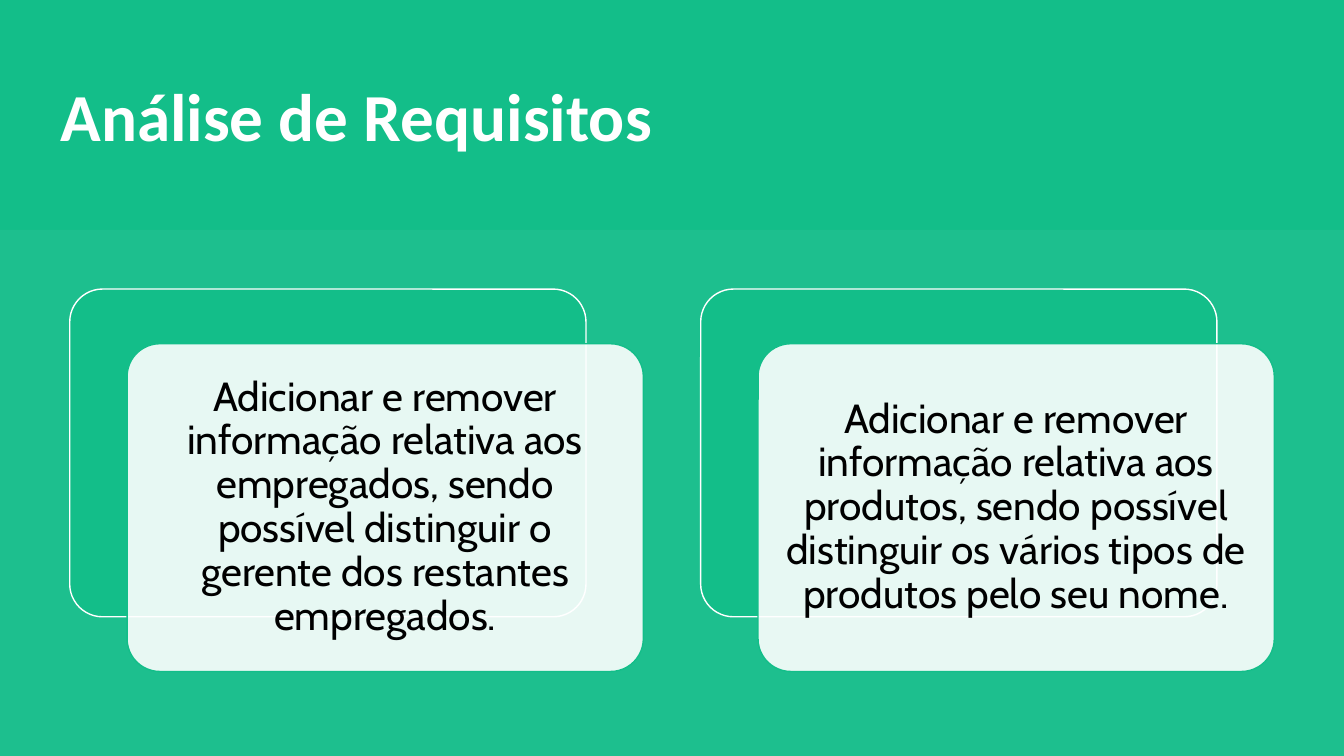
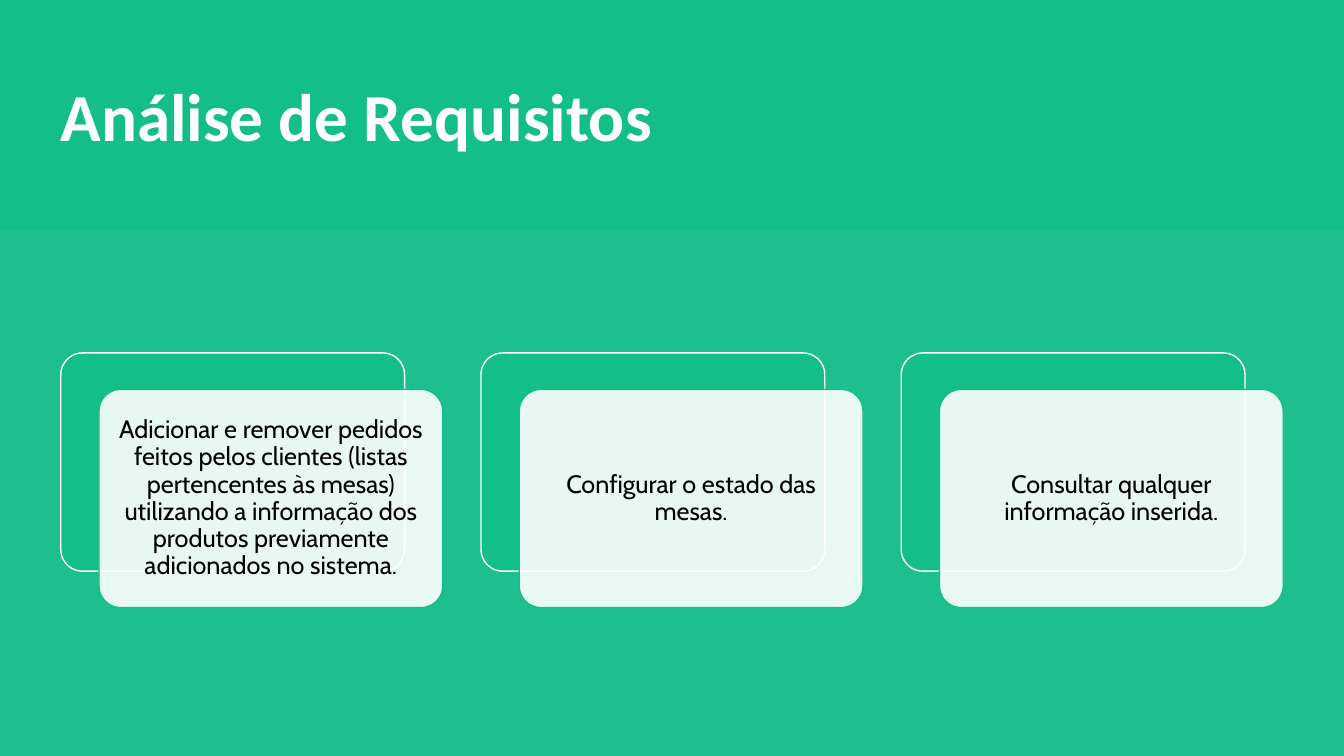
from lxml.etree import SubElement
from pptx import Presentation
from pptx.dml.color import RGBColor
from pptx.enum.shapes import MSO_SHAPE
from pptx.enum.text import MSO_ANCHOR, MSO_AUTO_SIZE, PP_ALIGN
from pptx.oxml.ns import qn
from pptx.util import Inches, Pt

COLORS = {
    "green": "13BE89",
    "white": "FFFFFF",
    "black": "000000",
    "veil": "E4E3F0",
}
SLIDE_WIDTH, SLIDE_HEIGHT = 13.33, 7.5
PANEL_TOP = 2.28
ROW_CENTER = 4.765
CARD_RATIO = 0.635
STEP_ACROSS = 1 / 9
STEP_DOWN = 0.106
CORNER = 0.1
TITLE = "Análise de Requisitos"

STAFF_AND_PRODUCTS = [
    "Adicionar e remover informação relativa aos empregados, sendo possível "
    "distinguir o gerente dos restantes empregados.",
    "Adicionar e remover informação relativa aos produtos, sendo possível "
    "distinguir os vários tipos de produtos pelo seu nome.",
]
ORDERS_AND_TABLES = [
    "Adicionar e remover pedidos feitos pelos clientes (listas pertencentes "
    "às mesas) utilizando a informação dos produtos previamente adicionados "
    "no sistema.",
    "Configurar o estado das mesas.",
    "Consultar qualquer informação inserida.",
]


def color(name):
    return RGBColor.from_string(COLORS[name])


def set_fill(shape, name, opacity=100):
    shape.fill.solid()
    shape.fill.fore_color.rgb = color(name)
    if opacity < 100:
        fill_color = shape._element.spPr.find(qn("a:solidFill"))[0]
        SubElement(fill_color, qn("a:alpha"), val=str(opacity * 1000))


def set_insets(text_frame, inset):
    text_frame.margin_left = text_frame.margin_right = Inches(inset)
    text_frame.margin_top = text_frame.margin_bottom = Inches(inset)


def add_run(paragraph, text, font_name, size, color_name, bold=False):
    run = paragraph.add_run()
    run.text = text
    run.font.name = font_name
    run.font.size = Pt(size)
    run.font.bold = bold
    run.font.color.rgb = color(color_name)


def add_box(slide, kind, left, top, width, height, fill, line=None, opacity=100):
    shape = slide.shapes.add_shape(
        kind, Inches(left), Inches(top), Inches(width), Inches(height)
    )
    shape.shadow.inherit = False
    set_fill(shape, fill, opacity)
    if line:
        shape.line.color.rgb = color(line)
        shape.line.width = Pt(1)
    else:
        shape.line.fill.background()
    return shape


def add_titled_slide(presentation, layout):
    slide = presentation.slides.add_slide(layout)
    title = slide.shapes.title
    title.left, title.top = Inches(0.6), Inches(0.6)
    title.width, title.height = Inches(SLIDE_WIDTH * 0.6), Inches(1.08)
    text_frame = title.text_frame
    text_frame.word_wrap = True
    text_frame.auto_size = MSO_AUTO_SIZE.NONE
    text_frame.vertical_anchor = MSO_ANCHOR.MIDDLE
    set_insets(text_frame, 0)
    paragraph = text_frame.paragraphs[0]
    paragraph.alignment = PP_ALIGN.LEFT
    add_run(paragraph, TITLE, "Calibri", 48, "white", bold=True)
    add_box(slide, MSO_SHAPE.RECTANGLE, 0, PANEL_TOP, SLIDE_WIDTH,
            SLIDE_HEIGHT - PANEL_TOP, "veil", opacity=5)
    return slide


def add_card(slide, text, left, top, width, size, space_after):
    height = width * CARD_RATIO
    back = add_box(slide, MSO_SHAPE.ROUNDED_RECTANGLE, left, top, width, height,
                   "green", "white")
    front = add_box(slide, MSO_SHAPE.ROUNDED_RECTANGLE,
                    left + width * STEP_ACROSS, top + width * STEP_DOWN,
                    width, height, "white", "green", opacity=90)
    for shape in (back, front):
        shape.adjustments[0] = CORNER
    text_frame = front.text_frame
    text_frame.word_wrap = True
    text_frame.vertical_anchor = MSO_ANCHOR.MIDDLE
    set_insets(text_frame, width * 0.024)
    paragraph = text_frame.paragraphs[0]
    paragraph.alignment = PP_ALIGN.CENTER
    paragraph.line_spacing = 0.9
    paragraph.space_after = Pt(space_after)
    add_run(paragraph, text, "Cabin", size, "black")


def add_card_row(slide, texts, width, size, space_after):
    gap = width * STEP_ACROSS
    pitch = width + 2 * gap
    left = (SLIDE_WIDTH - len(texts) * pitch + gap) / 2
    top = ROW_CENTER - width * (CARD_RATIO + STEP_DOWN) / 2
    for column, text in enumerate(texts):
        add_card(slide, text, left + column * pitch, top, width, size, space_after)


def main():
    presentation = Presentation()
    presentation.slide_width = Inches(SLIDE_WIDTH)
    presentation.slide_height = Inches(SLIDE_HEIGHT)
    layout = presentation.slide_layouts.get_by_name("Title Only")
    layout.background.fill.solid()
    layout.background.fill.fore_color.rgb = color("green")

    slide = add_titled_slide(presentation, layout)
    add_card_row(slide, STAFF_AND_PRODUCTS, width=5.12, size=29, space_after=12)

    slide = add_titled_slide(presentation, layout)
    add_card_row(slide, ORDERS_AND_TABLES, width=3.41, size=18, space_after=8)

    presentation.save("out.pptx")


if __name__ == "__main__":
    main()
